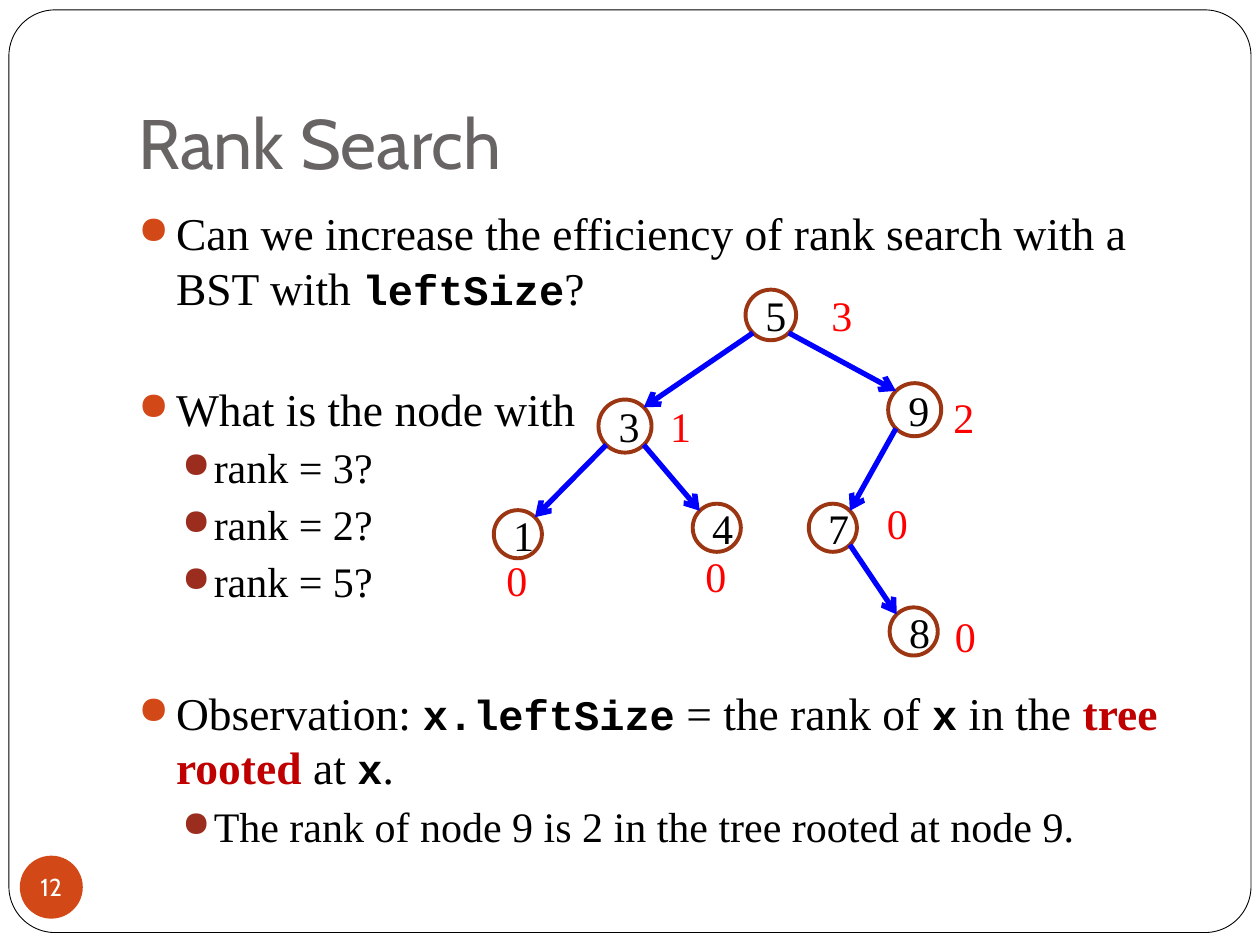
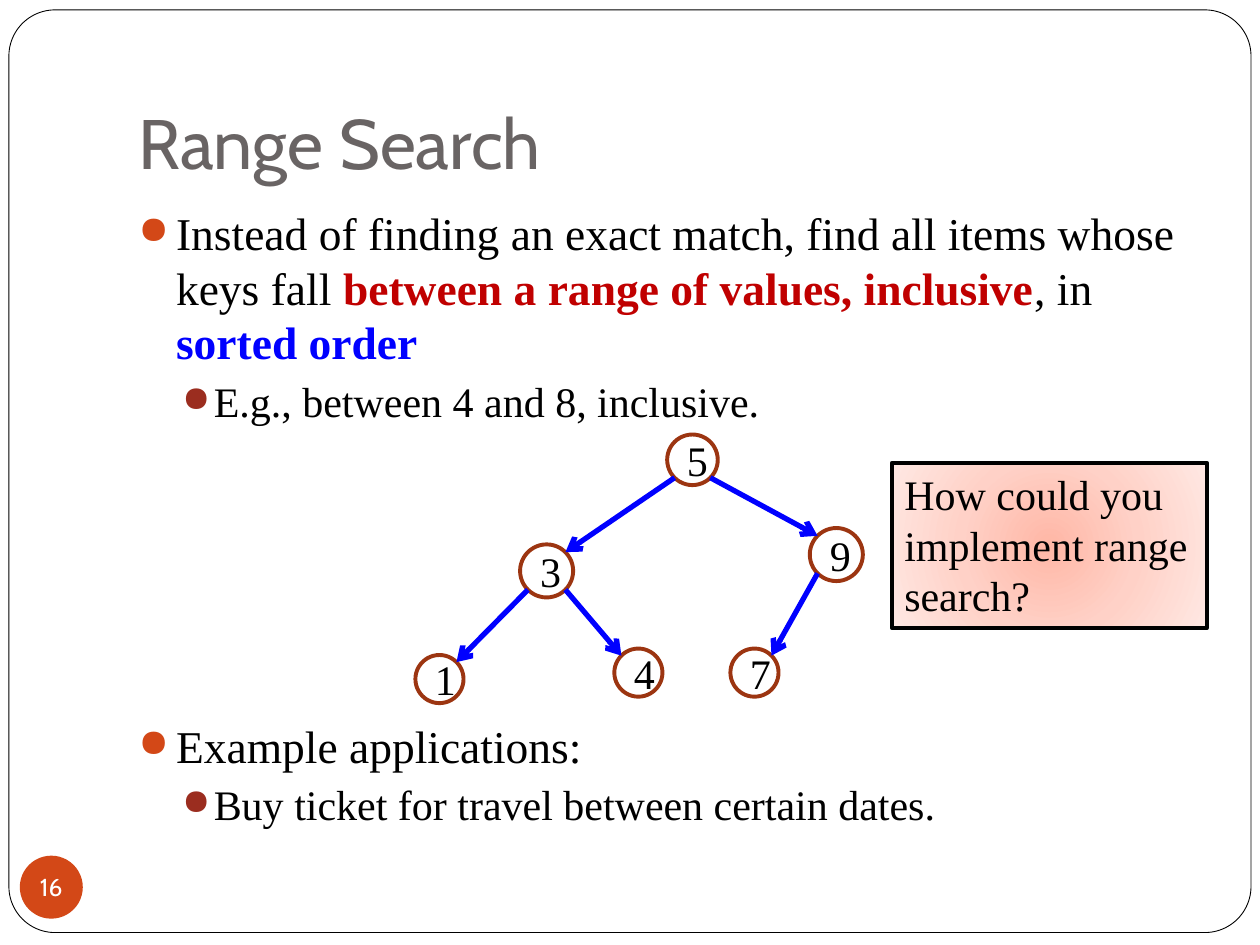
"""Build two slides on rank search and range search in a binary search tree."""
from math import sqrt

from pptx import Presentation
from pptx import oxml
from pptx import util as u
from pptx.dml import color
from pptx.enum import shapes, text
from pptx.oxml import ns

SERIF, SANS, MONO = "Times New Roman", "Cabin", "Courier New"
BLACK, WHITE, GREY, ORANGE = "000000", "FFFFFF", "696464", "D34817"
BROWN, RUST, CRIMSON, RED, BLUE = "9C3511", "9B2D1F", "C00000", "FF0000", "0000FF"

# level: (text indent, hanging indent, bullet colour, text size)
LEVELS = [(0.76, 0.76, ORANGE, 26), (1.52, 0.64, RUST, 24)]
STYLES = {"plain": (SERIF, BLACK, False), "code": (MONO, BLACK, True),
          "strong": (SERIF, CRIMSON, True), "blue": (SERIF, BLUE, True)}

# key: (centre x, centre y, diameter, left subtree size, label left, label top)
NODES = {
    "5": (15.54, 6.35, 1.02, "3", 16.51, 5.72),
    "3": (12.6, 8.59, 1.07, "1", 13.26, 7.95),
    "1": (10.44, 10.77, 0.97, "0", 9.96, 11.05),
    "9": (18.44, 8.26, 1.07, "2", 18.97, 7.77),
    "4": (14.45, 10.64, 0.97, "0", 13.97, 10.97),
    "7": (16.79, 10.64, 0.97, "0", 17.63, 9.91),
    "8": (18.42, 12.73, 0.97, "0", 19.0, 12.19),
}
EDGES = ["53", "31", "59", "34", "97", "78"]

# paragraph: (level, space before, runs)
SLIDES = [
    {"title": "Rank Search", "number": "12", "keys": "5319478", "shift": (0, 0),
     "sizes": True, "callout": None, "body": [
         (0, 5.8, [("Can we increase the efficiency of rank search with a BST with ", "plain"),
                   ("leftSize", "code"), ("?", "plain")]),
         (0, 38, [("What is the node with", "plain")]),
         (1, 3.7, [("rank = 3?", "plain")]),
         (1, 3.7, [("rank = 2?", "plain")]),
         (1, 3.7, [("rank = 5?", "plain")]),
         (0, 45, [("Observation: ", "plain"), ("x.leftSize", "code"),
                  (" = the rank of ", "plain"), ("x", "code"), (" in the ", "plain"),
                  ("tree rooted ", "strong"), ("at ", "plain"), ("x", "code"), (".", "plain")]),
         (1, 3.7, [("The rank of node 9 is 2 in the tree rooted at node 9.", "plain")])]},
    {"title": "Range Search", "number": "16", "keys": "531947", "shift": (-1.58, 2.92),
     "sizes": False, "callout": "How could you implement range search?", "body": [
         (0, 5.8, [("Instead of finding an exact match, find all items whose keys fall ", "plain"),
                   ("between a range of values, inclusive", "strong"), (", in ", "plain"),
                   ("sorted order", "blue")]),
         (1, 3.7, [("E.g., between 4 and 8, inclusive.", "plain")]),
         (0, 167, [("Example applications:", "plain")]),
         (1, 3.7, [("Buy ticket for travel between certain dates.", "plain")])]},
]

CALLOUT_FILL = (
    f'<a:gradFill {ns.nsdecls("a")}><a:gsLst>'
    + "".join(f'<a:gs pos="{stop}"><a:srgbClr val="{tint}"/></a:gs>'
              for stop, tint in [(0, "FFB7A6"), (50000, "FFD1C7"), (100000, "FFE8E3")])
    + '</a:gsLst><a:path path="circle">'
      '<a:fillToRect l="50000" t="50000" r="50000" b="50000"/></a:path></a:gradFill>')


def rgb(value):
    return color.RGBColor.from_string(value)


def write(shape, words, size, font, colour, align=text.PP_ALIGN.LEFT):
    shape.text_frame.text = words
    para = shape.text_frame.paragraphs[0]
    para.alignment = align
    span = para.runs[0].font
    span.size, span.name, span.color.rgb = u.Pt(size), font, rgb(colour)


deck = Presentation()
deck.slide_width, deck.slide_height = u.Cm(25.4), u.Cm(19.05)

for content in SLIDES:
    page = deck.slides.add_slide(deck.slide_layouts[5])

    frame = page.shapes.add_shape(shapes.MSO_SHAPE.ROUNDED_RECTANGLE,
                                  u.Cm(0.18), u.Cm(0.2), u.Cm(25.04), u.Cm(18.6))
    frame.adjustments[0] = 0.05
    frame.shadow.inherit = False
    frame.fill.background()
    frame.line.color.rgb, frame.line.width = rgb(BLACK), u.Pt(0.5)

    title = page.shapes.title
    title.left, title.top, title.width, title.height = u.Cm(2.54), u.Cm(0.76), u.Cm(21.59), u.Cm(3.18)
    write(title, content["title"], 40, SANS, GREY)
    title.text_frame.vertical_anchor = text.MSO_ANCHOR.BOTTOM
    title.text_frame.margin_bottom = u.Cm(0.25)

    badge = page.shapes.add_shape(shapes.MSO_SHAPE.OVAL, u.Cm(0.4), u.Cm(17.25), u.Cm(1.27), u.Cm(1.27))
    badge.shadow.inherit = False
    badge.fill.solid()
    badge.fill.fore_color.rgb = rgb(ORANGE)
    badge.line.fill.background()
    write(badge, content["number"], 14, SANS, WHITE, text.PP_ALIGN.CENTER)
    label = badge.text_frame
    label.word_wrap = False
    label.margin_left = label.margin_right = label.margin_top = label.margin_bottom = 0

    body = page.shapes.add_textbox(u.Cm(2.54), u.Cm(4.01), u.Cm(21.59), u.Cm(13.4)).text_frame
    body.word_wrap = True
    for index, (level, gap, runs) in enumerate(content["body"]):
        para = body.add_paragraph() if index else body.paragraphs[0]
        indent, hanging, bullet_colour, size = LEVELS[level]
        para.level, para.space_before = level, u.Pt(gap)
        properties = para._p.get_or_add_pPr()
        properties.set("marL", str(u.Cm(indent)))
        properties.set("indent", str(-u.Cm(hanging)))
        for bullet in (f'<a:buClr {ns.nsdecls("a")}><a:srgbClr val="{bullet_colour}"/></a:buClr>',
                       f'<a:buSzPct {ns.nsdecls("a")} val="85000"/>',
                       f'<a:buChar {ns.nsdecls("a")} char="●"/>'):
            properties.append(oxml.parse_xml(bullet))
        for words, style in runs:
            span = para.add_run()
            span.text = words
            font, colour, bold = STYLES[style]
            span.font.name, span.font.bold, span.font.color.rgb = font, bold, rgb(colour)
            span.font.size = u.Pt(24 if style == "code" else size)

    shift_x, shift_y = content["shift"]
    for key in content["keys"]:
        x, y, diameter, left_size, label_x, label_y = NODES[key]
        node = page.shapes.add_shape(shapes.MSO_SHAPE.OVAL, u.Cm(x + shift_x - diameter / 2),
                                     u.Cm(y + shift_y - diameter / 2), u.Cm(diameter), u.Cm(diameter))
        node.shadow.inherit = False
        node.fill.background()
        node.line.color.rgb, node.line.width = rgb(BROWN), u.Pt(2.25)
        write(node, key, 24, SERIF, BLACK, text.PP_ALIGN.CENTER)
        if content["sizes"]:
            size_label = page.shapes.add_textbox(u.Cm(label_x), u.Cm(label_y), u.Cm(0.92), u.Cm(1.27))
            size_label.text_frame.word_wrap = False
            write(size_label, left_size, 24, SERIF, RED)

    for parent, child in EDGES:
        if child not in content["keys"]:
            continue
        x1, y1, parent_size = NODES[parent][:3]
        x2, y2, child_size = NODES[child][:3]
        side = 1 if x2 > x1 else -1
        start, end = parent_size / sqrt(8), child_size / sqrt(8)
        edge = page.shapes.add_connector(
            shapes.MSO_CONNECTOR.STRAIGHT,
            u.Cm(x1 + side * start + shift_x), u.Cm(y1 + start + shift_y),
            u.Cm(x2 - side * end + shift_x), u.Cm(y2 - end + shift_y))
        edge.line.color.rgb, edge.line.width = rgb(BLUE), u.Pt(3)
        edge.line._get_or_add_ln().append(oxml.parse_xml(f'<a:tailEnd {ns.nsdecls("a")} type="arrow"/>'))
        edge._element.spPr.append(oxml.parse_xml(f'<a:effectLst {ns.nsdecls("a")}/>'))

    if content["callout"]:
        callout = page.shapes.add_shape(shapes.MSO_SHAPE.RECTANGLE,
                                        u.Cm(17.98), u.Cm(9.33), u.Cm(6.35), u.Cm(3.33))
        callout.shadow.inherit = False
        callout.line.color.rgb, callout.line.width = rgb(BLACK), u.Pt(2.25)
        callout._element.spPr.insert(2, oxml.parse_xml(CALLOUT_FILL))
        write(callout, content["callout"], 24, SERIF, BLACK)
        callout.text_frame.vertical_anchor = text.MSO_ANCHOR.TOP

deck.save("out.pptx")
